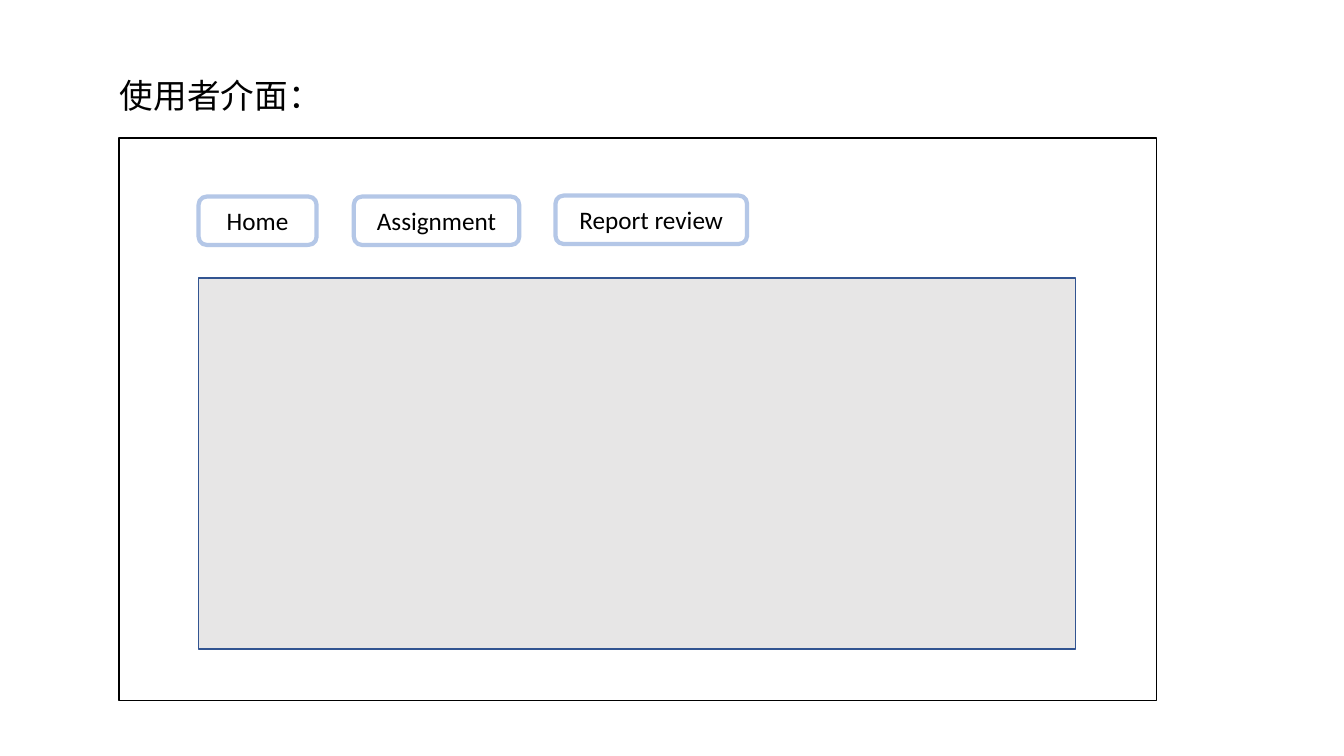
from pptx import Presentation
from pptx.dml.color import RGBColor
from pptx.enum.shapes import MSO_SHAPE
from pptx.enum.text import MSO_ANCHOR, MSO_AUTO_SIZE, PP_ALIGN
from pptx.util import Inches, Pt

RECTANGLE = MSO_SHAPE.RECTANGLE
ROUNDED = MSO_SHAPE.ROUNDED_RECTANGLE
TOP, MIDDLE = MSO_ANCHOR.TOP, MSO_ANCHOR.MIDDLE
LEFT, CENTER = PP_ALIGN.LEFT, PP_ALIGN.CENTER
GROW = MSO_AUTO_SIZE.SHAPE_TO_FIT_TEXT

FONT = "Calibri"
TITLE_ONLY = 5
COLORS = {
    "text": "000000",
    "window": "FFFFFF",
    "window_edge": "000000",
    "content": "E7E6E6",
    "content_edge": "325491",
    "button_edge": "B4C7E7",
}
MENU = [
    ("Home", 1.97, 1.95, 1.17),
    ("Assignment", 3.51, 1.95, 1.64),
    ("Report review", 5.51, 1.94, 1.9),
]
BUTTON_HEIGHT = 0.48


def color(key):
    return RGBColor.from_string(COLORS[key])


def write(frame, text, size, align, anchor):
    frame.word_wrap = True
    frame.vertical_anchor = anchor
    paragraph = frame.paragraphs[0]
    paragraph.alignment = align
    run = paragraph.add_run()
    run.text = text
    run.font.name = FONT
    run.font.size = Pt(size)
    run.font.color.rgb = color("text")


def add_box(slide, kind, bounds, edge, weight, fill=None):
    box = slide.shapes.add_shape(kind, *map(Inches, bounds))
    box.shadow.inherit = False
    if fill:
        box.fill.solid()
        box.fill.fore_color.rgb = color(fill)
    else:
        box.fill.background()
    box.line.color.rgb = color(edge)
    box.line.width = Pt(weight)
    return box


def add_button(slide, label, left, top, width):
    bounds = (left, top, width, BUTTON_HEIGHT)
    button = add_box(slide, ROUNDED, bounds, "button_edge", 3)
    write(button.text_frame, label, 18, CENTER, MIDDLE)


def set_title(slide, text):
    title = slide.shapes.title
    title.left, title.top = Inches(1.09), Inches(0.69)
    title.width, title.height = Inches(3.16), Inches(0.5)
    write(title.text_frame, text, 24, LEFT, TOP)
    title.text_frame.auto_size = GROW


def main():
    deck = Presentation()
    deck.slide_width, deck.slide_height = Inches(13.33), Inches(7.5)
    slide = deck.slides.add_slide(deck.slide_layouts[TITLE_ONLY])
    set_title(slide, "使用者介面：")
    add_box(slide, RECTANGLE, (1.18, 1.37, 10.29, 5.58), "window_edge", 1, "window")
    add_box(slide, RECTANGLE, (1.97, 2.76, 8.7, 3.68), "content_edge", 1, "content")
    for label, left, top, width in MENU:
        add_button(slide, label, left, top, width)
    deck.save("out.pptx")


main()
